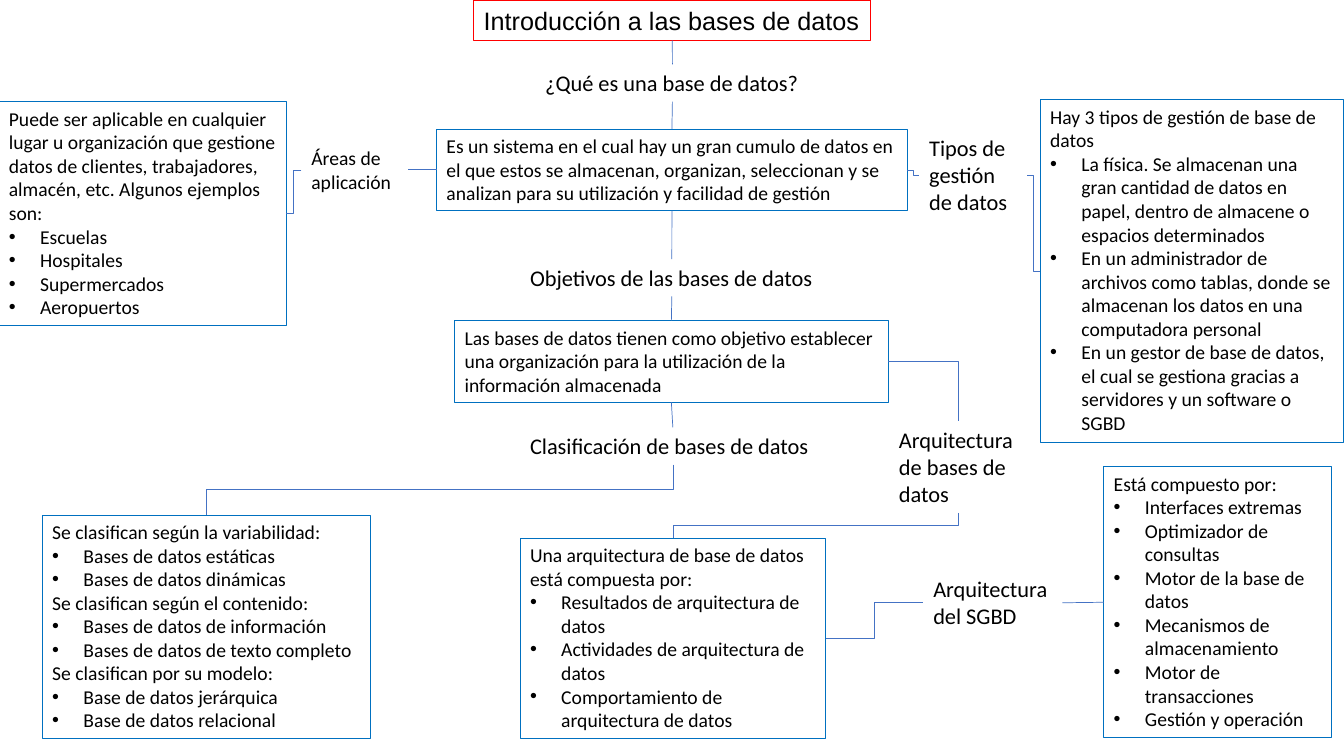
from typing import NamedTuple

from lxml import etree
from pptx import Presentation
from pptx.dml.color import RGBColor
from pptx.enum.shapes import MSO_CONNECTOR, MSO_SHAPE
from pptx.enum.text import MSO_ANCHOR, MSO_AUTO_SIZE, PP_ALIGN
from pptx.oxml.ns import qn
from pptx.util import Emu, Inches, Pt

STRAIGHT, ELBOW = MSO_CONNECTOR.STRAIGHT, MSO_CONNECTOR.ELBOW
RECTANGLE = MSO_SHAPE.RECTANGLE
TOP_ANCHOR = MSO_ANCHOR.TOP
LEFT_ALIGN = PP_ALIGN.LEFT
GROW = MSO_AUTO_SIZE.SHAPE_TO_FIT_TEXT
TOP, LEFT, BOTTOM, RIGHT = range(4)

SLIDE_W, SLIDE_H = Inches(13.333), Inches(7.5)
RED, BLUE, LINK_BLUE, BLACK = "FF0000", "0070C0", "4472C4", "000000"
BULLET = "• "
BULLET_INDENT = Inches(0.31)


class Node(NamedTuple):
    """Block of text; the area is left, top, width, height in % of the slide."""
    area: tuple[float, float, float, float]
    lines: list[str]
    size: int = 14
    border: str | None = BLUE
    font: str = "Calibri"


class Link(NamedTuple):
    """Connector between the middles of two sides."""
    start: str
    start_side: int
    end: str
    end_side: int


NODES = {
    # Boxes
    "title": Node((35.25, 0, 29.55, 5.33), ["Introducción a las bases de datos"], 18, RED, "Arial"),
    "definition": Node((32.48, 17.07, 35.03, 10.8), [
        "Es un sistema en el cual hay un gran cumulo de datos en el que estos se almacenan, "
        "organizan, seleccionan y se analizan para su utilización y facilidad de gestión"]),
    "goals": Node((33.83, 42.4, 32.25, 10.8), [
        "Las bases de datos tienen como objetivo establecer una organización para la "
        "utilización de la información almacenada"]),
    "areas": Node((-0.08, 13.47, 21.38, 29.6), [
        "Puede ser aplicable en cualquier lugar u organización que gestione datos de "
        "clientes, trabajadores, almacén, etc. Algunos ejemplos son:",
        "• Escuelas", "• Hospitales", "• Supermercados", "• Aeropuertos"]),
    "types": Node((77.4, 13.2, 22.58, 45.33), [
        "Hay 3 tipos de gestión de base de datos",
        "• La física. Se almacenan una gran cantidad de datos en papel, dentro de almacene "
        "o espacios determinados",
        "• En un administrador de archivos como tablas, donde se almacenan los datos en una "
        "computadora personal",
        "• En un gestor de base de datos, el cual se gestiona gracias a servidores y un "
        "software o SGBD"]),
    "classes": Node((3.15, 68.13, 24.45, 29.6), [
        "Se clasifican según la variabilidad:",
        "• Bases de datos estáticas", "• Bases de datos dinámicas",
        "Se clasifican según el contenido:",
        "• Bases de datos de información", "• Bases de datos de texto completo",
        "Se clasifican por su modelo:",
        "• Base de datos jerárquica", "• Base de datos relacional"]),
    "architecture": Node((38.7, 71.2, 22.73, 26.53), [
        "Una arquitectura de base de datos está compuesta por:",
        "• Resultados de arquitectura de datos",
        "• Actividades de arquitectura de datos",
        "• Comportamiento de arquitectura de datos"]),
    "dbms": Node((82.13, 61.73, 16.95, 35.87), [
        "Está compuesto por:",
        "• Interfaces extremas", "• Optimizador de consultas",
        "• Motor de la base de datos", "• Mecanismos de almacenamiento",
        "• Motor de transacciones", "• Gestión y operación"]),
    # Labels without a border
    "definition label": Node((39.83, 8.53, 20.4, 4.93), ["¿Qué es una base de datos?"], 16, None),
    "areas label": Node((22.43, 18.67, 7.95, 7.6), ["Áreas de aplicación"], 14, None),
    "types label": Node((68.4, 17.07, 8.03, 12.13), ["Tipos de gestión de datos"], 16, None),
    "goals label": Node((38.7, 34.27, 22.58, 4.93), ["Objetivos de las bases de datos"], 16, None),
    "classes label": Node((38.7, 56.53, 22.73, 4.93), ["Clasificación de bases de datos"], 16, None),
    "architecture label": Node((66.15, 55.73, 10.35, 12.13), ["Arquitectura de bases de datos"], 16, None),
    "dbms label": Node((68.7, 75.47, 10.35, 8.53), ["Arquitectura del SGBD"], 16, None),
}

STRAIGHT_LINKS = [
    Link("title", BOTTOM, "definition label", TOP),
    Link("definition label", BOTTOM, "definition", TOP),
    Link("definition", BOTTOM, "goals label", TOP),
    Link("goals label", BOTTOM, "goals", TOP),
    Link("goals", BOTTOM, "classes label", TOP),
    Link("definition", LEFT, "areas label", RIGHT),
    Link("dbms label", RIGHT, "dbms", LEFT),
]

ELBOW_LINKS = [
    Link("definition", RIGHT, "types label", LEFT),
    Link("types label", RIGHT, "types", LEFT),
    Link("areas label", LEFT, "areas", RIGHT),
    Link("goals", RIGHT, "architecture label", TOP),
    Link("classes label", BOTTOM, "classes", TOP),
    Link("architecture label", BOTTOM, "architecture", TOP),
    Link("architecture", RIGHT, "dbms label", LEFT),
]


def color(value: str) -> RGBColor:
    return RGBColor.from_string(value)


def add_bullet(paragraph) -> None:
    properties = paragraph._p.get_or_add_pPr()
    properties.set("marL", str(BULLET_INDENT))
    properties.set("indent", str(-BULLET_INDENT))
    etree.SubElement(properties, qn("a:buFont")).set("typeface", "Arial")
    etree.SubElement(properties, qn("a:buChar")).set("char", BULLET.strip())


def add_node(slide, node: Node):
    left, top, width, height = node.area
    place = (Emu(round(SLIDE_W * left / 100)), Emu(round(SLIDE_H * top / 100)),
             Emu(round(SLIDE_W * width / 100)), Emu(round(SLIDE_H * height / 100)))
    if node.border:
        block = slide.shapes.add_shape(RECTANGLE, *place)
        block.shadow.inherit = False
        block.fill.background()
        block.line.color.rgb = color(node.border)
        block.line.width = Pt(0.75)
    else:
        block = slide.shapes.add_textbox(*place)

    frame = block.text_frame
    frame.text = "\n".join(line.removeprefix(BULLET) for line in node.lines)
    frame.word_wrap = True
    frame.auto_size = GROW
    frame.vertical_anchor = TOP_ANCHOR
    for line, paragraph in zip(node.lines, frame.paragraphs):
        paragraph.alignment = LEFT_ALIGN
        if line.startswith(BULLET):
            add_bullet(paragraph)
        for run in paragraph.runs:
            run.font.name = node.font
            run.font.size = Pt(node.size)
            run.font.color.rgb = color(BLACK)
    return block


def side_middle(block, side: int) -> tuple[int, int]:
    share_x, share_y = {TOP: (0.5, 0), LEFT: (0, 0.5), BOTTOM: (0.5, 1), RIGHT: (1, 0.5)}[side]
    return round(block.left + block.width * share_x), round(block.top + block.height * share_y)


def add_line(slide, kind, x1: int, y1: int, x2: int, y2: int):
    line = slide.shapes.add_connector(kind, Emu(x1), Emu(y1), Emu(x2), Emu(y2))
    line.line.color.rgb = color(LINK_BLUE)
    line.line.width = Pt(0.5)
    etree.SubElement(line._element.spPr, qn("a:effectLst"))
    return line


def add_straight(slide, blocks: dict, link: Link) -> None:
    start, end = blocks[link.start], blocks[link.end]
    line = add_line(slide, STRAIGHT, *side_middle(start, link.start_side),
                    *side_middle(end, link.end_side))
    line.begin_connect(start, link.start_side)
    line.end_connect(end, link.end_side)


def add_elbow(slide, blocks: dict, link: Link) -> None:
    x1, y1 = side_middle(blocks[link.start], link.start_side)
    x2, y2 = side_middle(blocks[link.end], link.end_side)
    if link.start_side == BOTTOM:
        # Down, left, down: a quarter turn about the centre
        run, drop = x1 - x2, y2 - y1
        left, top = (x1 + x2 - drop) // 2, (y1 + y2 - run) // 2
        line = add_line(slide, ELBOW, left, top, left + drop, top + run)
        line._element.spPr.find(qn("a:xfrm")).set("rot", "5400000")
        return
    line = add_line(slide, ELBOW, x1, y1, x2, y2)
    if link.end_side == TOP:
        # A single bend
        line._element.spPr.find(qn("a:prstGeom")).set("prst", "bentConnector2")


def main() -> None:
    deck = Presentation()
    deck.slide_width, deck.slide_height = SLIDE_W, SLIDE_H
    slide = deck.slides.add_slide(deck.slide_layouts[6])
    blocks = {topic: add_node(slide, node) for topic, node in NODES.items()}
    for link in STRAIGHT_LINKS:
        add_straight(slide, blocks, link)
    for link in ELBOW_LINKS:
        add_elbow(slide, blocks, link)
    deck.save("out.pptx")


if __name__ == "__main__":
    main()
